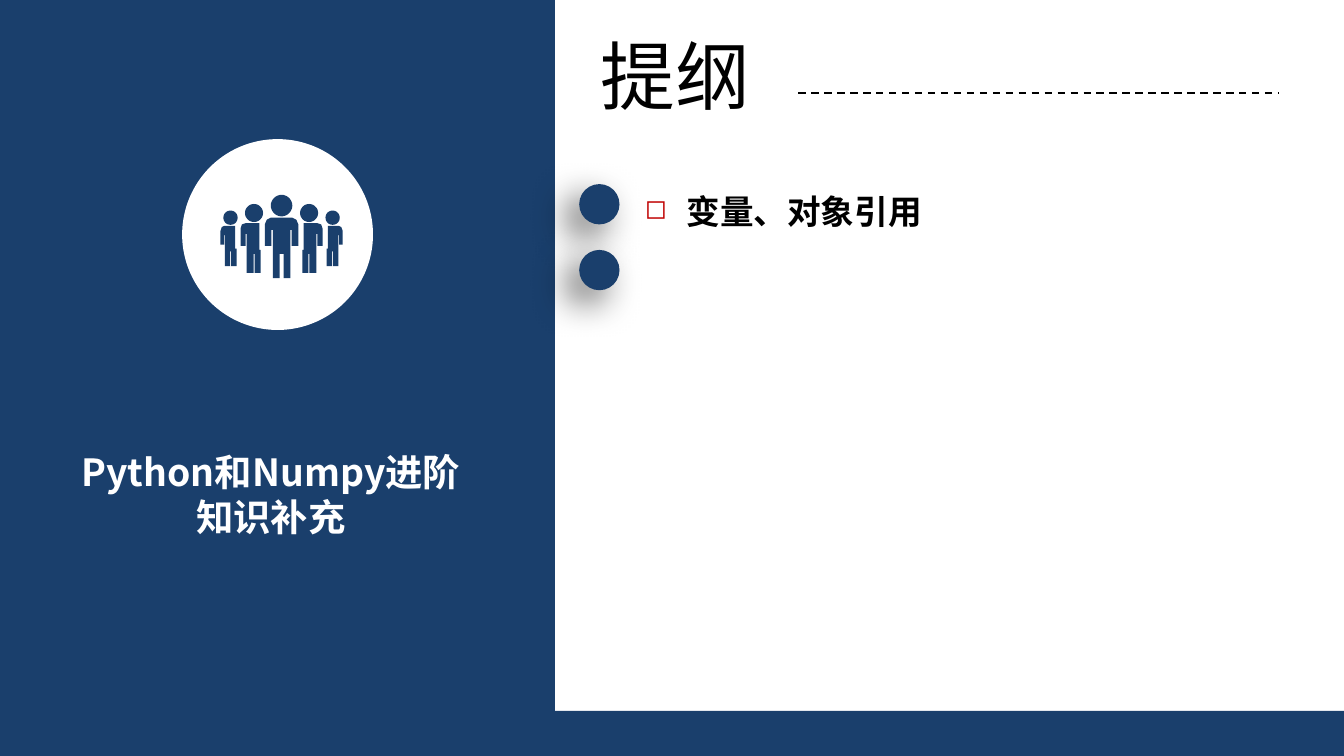
"""Builds an outline slide with a navy side panel, a people emblem and a dotted agenda."""
import math
from dataclasses import dataclass
from typing import NamedTuple

from lxml import etree
from pptx import Presentation
from pptx import util as u
from pptx.dml.color import RGBColor
from pptx.enum import dml, shapes, text
from pptx.oxml import ns

CELL = u.Inches(0.1)
COLUMNS, ROWS = 100, 56.25
ICON_AXIS = 20.95
ICON_UNITS = 100


@dataclass(frozen=True)
class Theme:
    navy: str = "1A3F6C"
    white: str = "FFFFFF"
    black: str = "000000"
    red: str = "C00000"
    font: str = "Noto Sans CJK SC"
    title: int = 40
    subtitle: int = 20
    body: int = 18


class Box(NamedTuple):
    column: float
    row: float
    columns: float
    rows: float


class Label(NamedTuple):
    words: str
    box: Box
    size: int
    color: str
    bold: bool = True
    wrap: bool = True
    centered: bool = False
    inset: float = 1


class Head(NamedTuple):
    column: float
    row: float
    radius: float


THEME = Theme()
PANEL = Box(0, 0, 41.3, ROWS)
FOOTER = Box(0, 52.9, COLUMNS, ROWS - 52.9)
EMBLEM = Box(13.55, 10.35, 14.2, 14.2)
DOTS = [Box(43.1, 13.7 + 4.9 * index, 3, 3) for index in range(2)]
TITLE = Label("提纲", Box(43.7, 1.7, 13.2, 7.7), THEME.title, THEME.black, bold=False, wrap=False)
SUBTITLE = Label("Python和Numpy进阶知识补充", Box(5.4, 33.4, 29.5, 6.7), THEME.subtitle,
                 THEME.white, centered=True, inset=0)
AGENDA = Label("变量、对象引用", Box(47, 12.2, 49.9, 10.1), THEME.body, THEME.black)

LEADER_HEAD = Head(ICON_AXIS, 15.3, 0.8)
SIDE_HEADS = [Head(18.9, 15.85, 0.67), Head(17.15, 16.2, 0.53)]
LEADER_HALF = [(0.8, 16.2), (1.1, 16.35), (1.25, 16.7), (1.25, 18.3), (0.75, 18.3),
               (0.75, 17.1), (0.65, 17.1), (0.65, 20.7), (0.15, 20.7), (0.15, 18.9)]
SIDE_BODIES = [
    [(18.3, 16.6), (19.3, 16.6), (19.3, 18.6), (19.4, 18.6), (19.4, 20.3), (18.95, 20.3),
     (18.95, 18.9), (18.88, 18.9), (18.88, 20.3), (18.35, 20.3), (18.35, 17.4), (18.28, 17.4),
     (18.28, 18.3), (17.9, 18.3), (17.9, 17), (18, 16.7)],
    [(16.7, 16.8), (17.5, 16.8), (17.5, 18.5), (17.6, 18.5), (17.6, 19.8), (17.2, 19.8),
     (17.2, 18.7), (17.13, 18.7), (17.13, 19.8), (16.73, 19.8), (16.73, 17.5), (16.67, 17.5),
     (16.67, 18.2), (16.4, 18.2), (16.4, 17.2), (16.5, 16.9)],
]


def place(box: Box) -> list[int]:
    """Converts grid cells to slide lengths."""
    return [round(value * CELL) for value in box]


def paint(shape, color: str) -> None:
    """Gives a shape a flat fill without outline or shadow."""
    shape.shadow.inherit = False
    shape.fill.solid()
    shape.fill.fore_color.rgb = RGBColor.from_string(color)
    shape.line.fill.background()


def add_block(collection, kind: shapes.MSO_SHAPE, box: Box, color: str):
    """Adds one flat preset shape."""
    shape = collection.add_shape(kind, *place(box))
    paint(shape, color)
    return shape


def add_child(parent, tag: str, **attributes: str):
    """Appends a DrawingML element."""
    return etree.SubElement(parent, ns.qn(tag), attributes)


def cast_shadow(shape) -> None:
    """Adds a soft shadow towards the lower left."""
    effects = shape._element.spPr.find(ns.qn("a:effectLst"))
    shadow = add_child(effects, "a:outerShdw", blurRad=str(u.Pt(20)), dist=str(u.Pt(10)),
                       dir=str(135 * 60000), algn="tr", rotWithShape="0")
    color = add_child(shadow, "a:srgbClr", val=THEME.black)
    add_child(color, "a:alpha", val="60000")


def add_label(slide, label: Label):
    """Adds a text box and returns its paragraph."""
    frame = slide.shapes.add_textbox(*place(label.box)).text_frame
    frame.word_wrap = label.wrap
    frame.auto_size = text.MSO_AUTO_SIZE.SHAPE_TO_FIT_TEXT
    frame.margin_left = frame.margin_right = round(label.inset * CELL)
    frame.margin_top = frame.margin_bottom = round(label.inset * CELL / 2)
    frame.text = label.words
    paragraph = frame.paragraphs[0]
    if label.centered:
        paragraph.alignment = text.PP_ALIGN.CENTER
    font = paragraph.runs[0].font
    font.size, font.bold, font.name = u.Pt(label.size), label.bold, THEME.font
    font.color.rgb = RGBColor.from_string(label.color)
    add_child(font._element, "a:ea", typeface=THEME.font)
    return paragraph


def add_bullet(paragraph) -> None:
    """Sets a hanging red square bullet."""
    paragraph.line_spacing = 1.5
    properties = paragraph._p.get_or_add_pPr()
    indent = round(3.1 * CELL)
    properties.set("marL", str(indent))
    properties.set("indent", str(-indent))
    add_child(add_child(properties, "a:buClr"), "a:srgbClr", val=THEME.red)
    add_child(properties, "a:buSzPct", val="80000")
    add_child(properties, "a:buChar", char="◻")


def mirror(points: list[tuple]) -> list[tuple]:
    """Reflects points across the icon's axis."""
    return [(2 * ICON_AXIS - column, row) for column, row in points]


def outline_head(head: Head) -> list[tuple]:
    """Traces a round head in short segments."""
    angles = [math.tau * step / 36 for step in range(36)]
    return [(head.column + head.radius * math.cos(angle),
             head.row + head.radius * math.sin(angle)) for angle in angles]


def add_people(collection) -> None:
    """Draws five people as one outline."""
    half = [(ICON_AXIS + offset, row) for offset, row in LEADER_HALF]
    sides = [outline_head(head) for head in SIDE_HEADS] + SIDE_BODIES
    contours = [outline_head(LEADER_HEAD), half + mirror(half)[::-1], *sides, *map(mirror, sides)]
    scaled = [[(column * ICON_UNITS, row * ICON_UNITS) for column, row in contour]
              for contour in contours]
    builder = collection.build_freeform(*scaled[0][0], scale=CELL / ICON_UNITS)
    for contour in scaled:
        builder.move_to(*contour[0])
        builder.add_line_segments(contour[1:], close=True)
    paint(builder.convert_to_shape(), THEME.navy)


def add_rule(slide) -> None:
    """Draws the dashed line beside the title."""
    start, row, end = (round(value * CELL) for value in (59.4, 6.9, 95.2))
    rule = slide.shapes.add_connector(shapes.MSO_CONNECTOR.STRAIGHT, start, row, end, row)
    rule.line.color.rgb = RGBColor.from_string(THEME.black)
    rule.line.width = u.Pt(1)
    rule.line.dash_style = dml.MSO_LINE.DASH
    add_child(rule._element.spPr, "a:effectLst")


def main() -> None:
    """Builds and saves the slide."""
    presentation = Presentation()
    presentation.slide_width, presentation.slide_height = COLUMNS * CELL, round(ROWS * CELL)
    slide = presentation.slides.add_slide(presentation.slide_layouts[6])
    add_block(slide.shapes, shapes.MSO_SHAPE.RECTANGLE, FOOTER, THEME.navy)
    add_rule(slide)
    add_block(slide.shapes, shapes.MSO_SHAPE.RECTANGLE, PANEL, THEME.navy)
    add_label(slide, TITLE)
    add_label(slide, SUBTITLE)
    emblem = slide.shapes.add_group_shape()
    add_block(emblem.shapes, shapes.MSO_SHAPE.OVAL, EMBLEM, THEME.white)
    add_people(emblem.shapes)
    add_bullet(add_label(slide, AGENDA))
    for dot in DOTS:
        cast_shadow(add_block(slide.shapes, shapes.MSO_SHAPE.OVAL, dot, THEME.navy))
    presentation.save("out.pptx")


if __name__ == "__main__":
    main()
